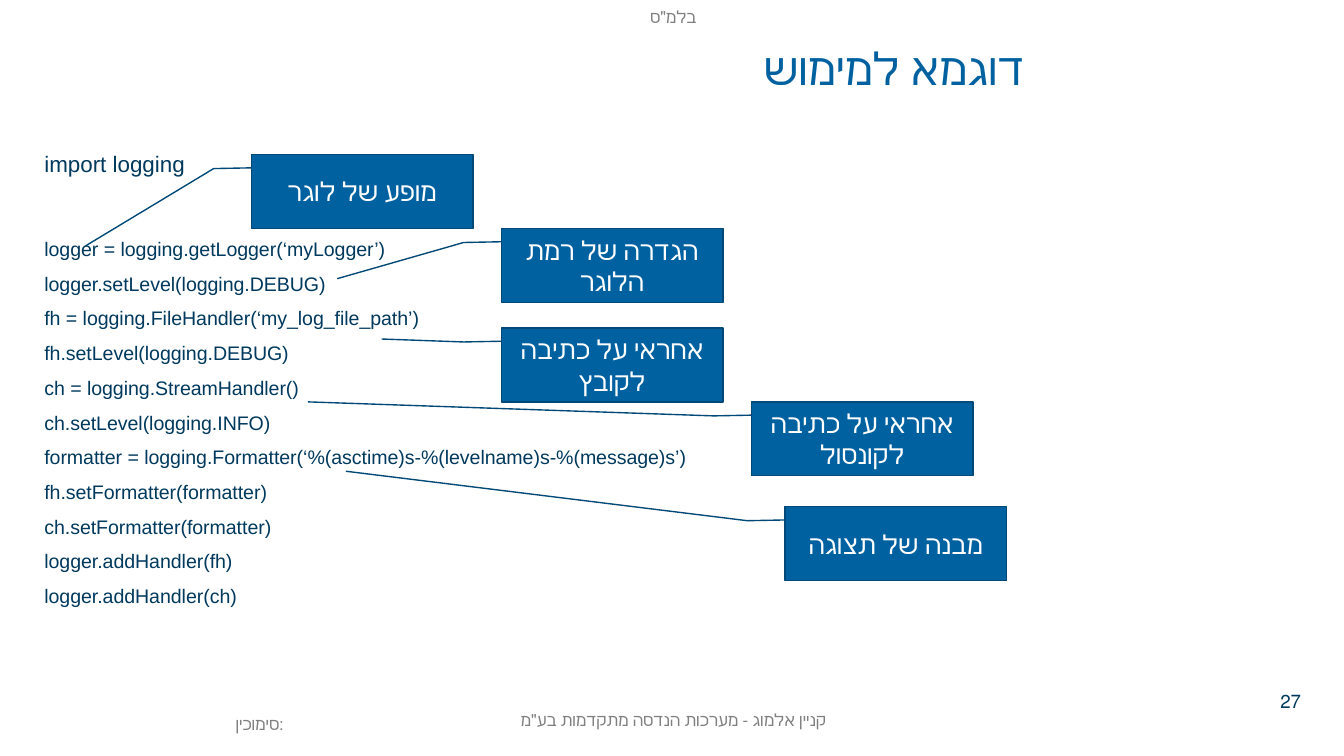
from pptx import Presentation
from pptx.dml.color import RGBColor as RGB
from pptx.enum.shapes import MSO_SHAPE as Shape
from pptx.enum.text import MSO_ANCHOR as Anchor, PP_ALIGN as Align
from pptx.util import Inches, Pt

COLORS = {"blue": "0061A1", "navy": "00395E", "edge": "004877",
          "gray": "808080", "white": "FFFFFF"}

# left, top, width, alignment, text
NOTES = [
    (3.16, 5.23, 3.7, Align.CENTER, 'קניין אלמוג - מערכות הנדסה מתקדמות בע"מ'),
    (3.16, 0, 3.7, Align.CENTER, 'בלמ"ס'),
    (0.33, 5.26, 1.88, Align.RIGHT, "סימוכין:"),
]

CODE = [
    "logger = logging.getLogger(‘myLogger’)",
    "logger.setLevel(logging.DEBUG)",
    "fh = logging.FileHandler(‘my_log_file_path’)",
    "fh.setLevel(logging.DEBUG)",
    "ch = logging.StreamHandler()",
    "ch.setLevel(logging.INFO)",
    "formatter = logging.Formatter(‘%(asctime)s-%(levelname)s-%(message)s’)",
    "fh.setFormatter(formatter)",
    "ch.setFormatter(formatter)",
    "logger.addHandler(fh)",
    "logger.addHandler(ch)",
]

# left, top, text, pointer tip (y, x) as shares of the box size
CALLS = [
    (1.87, 1.15, "מופע של לוגר", (1.24, -0.75)),
    (3.73, 1.7, "הגדרה של רמת הלוגר", (0.68, -0.74)),
    (3.73, 2.44, "אחראי על כתיבה לקובץ", (0.15, -0.54)),
    (5.59, 2.99, "אחראי על כתיבה לקונסול", (0, -2)),
    (5.84, 3.77, "מבנה של תצוגה", (-0.48, -1.98)),
]
BEND = (0.18, 0, 0.19, -0.17)


def color(name):
    return RGB.from_string(COLORS[name])


def apply(item, form):
    for name, value in form.items():
        setattr(item, name, value)


def write(para, text, size, tint, rtl=False, **form):
    run = para.add_run()
    run.text = text
    apply(run.font, {"name": "Arial", "size": Pt(size)})
    run.font.color.rgb = color(tint)
    apply(para, form)
    if rtl:
        para._p.get_or_add_pPr().set("rtl", "1")


def add_box(slide, left, top, width, height, **form):
    """Add a wrapping text box and return its text frame."""
    box = slide.shapes.add_textbox(*map(Inches, (left, top, width, height)))
    apply(box.text_frame, {"word_wrap": True, **form})
    return box.text_frame


def add_code(slide):
    frame = add_box(slide, 0.33, 1.07, 9.35, 3.83, margin_left=0)
    write(frame.paragraphs[0], "import logging", 12, "navy")
    for i, line in enumerate(CODE):
        write(frame.add_paragraph(), line, 10.5, "navy",
              space_before=Pt(6 if i else 32))


def add_call(slide, left, top, text, tip):
    box = slide.shapes.add_shape(
        Shape.LINE_CALLOUT_2, *map(Inches, (left, top, 1.65, 0.55)))
    for i, value in enumerate(BEND + tip):
        box.adjustments[i] = value
    box.shadow.inherit = False
    box.fill.solid()
    box.fill.fore_color.rgb = color("blue")
    box.line.color.rgb = color("edge")
    box.line.width = Pt(0.75)
    frame = box.text_frame
    apply(frame, {"word_wrap": True, "vertical_anchor": Anchor.MIDDLE})
    write(frame.paragraphs[0], text, 14, "white", alignment=Align.CENTER)


def main():
    deck = Presentation()
    wide = Inches(10)
    apply(deck, {"slide_width": wide, "slide_height": wide * 9 // 16})
    slide = deck.slides.add_slide(deck.slide_layouts[6])
    for left, top, width, align, text in NOTES:
        frame = add_box(slide, left, top, width, 0.25)
        write(frame.paragraphs[0], text, 9, "gray", alignment=align)
    title = add_box(slide, 2.16, 0.15, 5.56, 0.7, vertical_anchor=Anchor.MIDDLE)
    write(title.paragraphs[0], "דוגמא למימוש", 24, "blue", rtl=True,
          alignment=Align.RIGHT)
    add_code(slide)
    flush = dict.fromkeys(
        ("margin_left", "margin_top", "margin_right", "margin_bottom"), 0)
    page = add_box(slide, 9.4, 5.13, 0.28, 0.17,
                   vertical_anchor=Anchor.MIDDLE, **flush)
    write(page.paragraphs[0], "27", 10, "navy", rtl=True, alignment=Align.RIGHT)
    for call in CALLS:
        add_call(slide, *call)
    deck.save("out.pptx")


if __name__ == "__main__":
    main()
